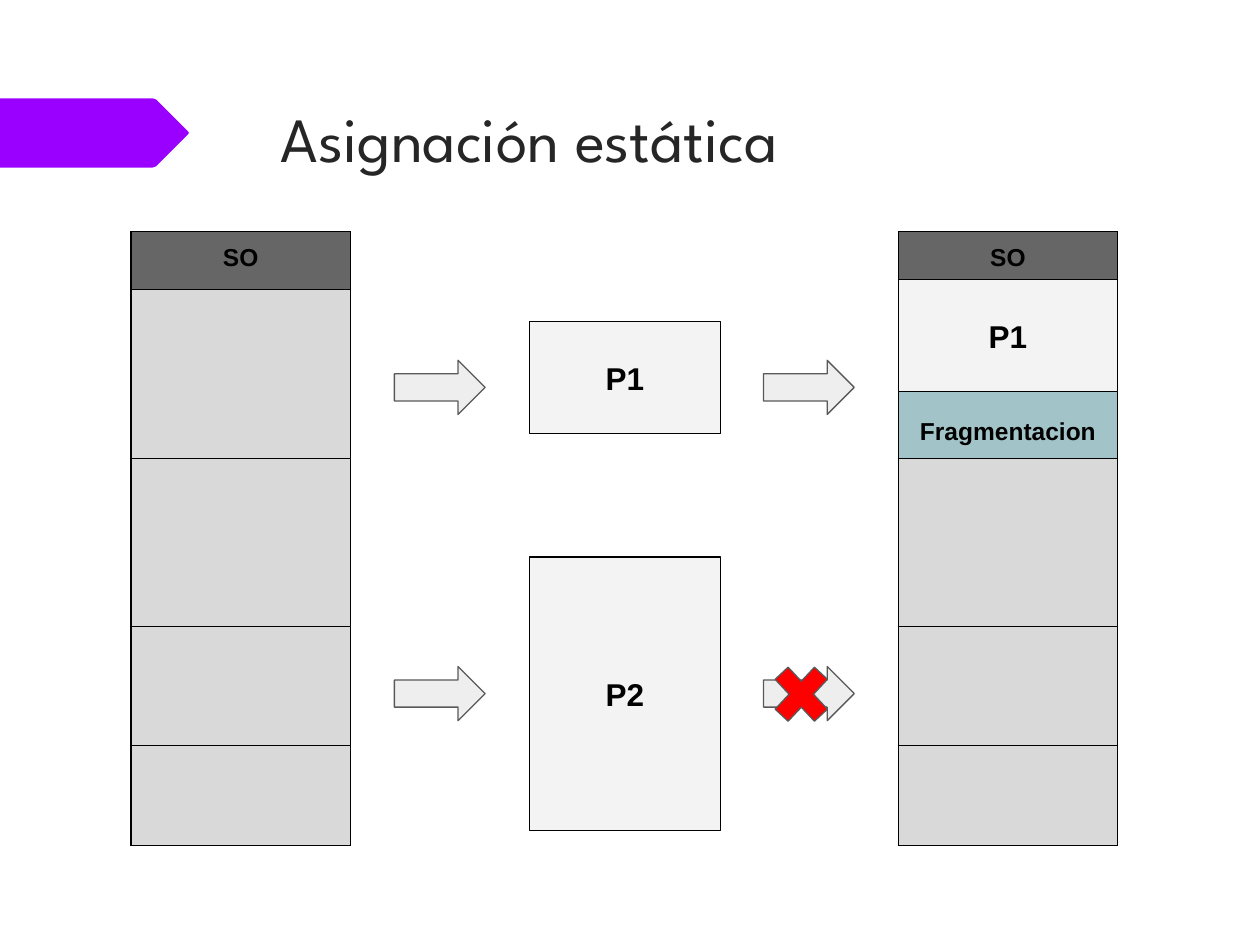
from lxml import etree
from pptx import Presentation
from pptx.dml.color import RGBColor
from pptx.enum.shapes import MSO_SHAPE
from pptx.enum.text import MSO_ANCHOR, PP_ALIGN
from pptx.oxml.ns import qn
from pptx.util import Inches, Pt

RECTANGLE = MSO_SHAPE.RECTANGLE
ARROW = MSO_SHAPE.RIGHT_ARROW
CROSS = MSO_SHAPE.MATH_MULTIPLY
CENTER, LEFT = PP_ALIGN.CENTER, PP_ALIGN.LEFT
TOP, MIDDLE, BOTTOM = MSO_ANCHOR.TOP, MSO_ANCHOR.MIDDLE, MSO_ANCHOR.BOTTOM

BLACK, GRAY, PALE, TEAL = "000000", "D9D9D9", "F3F3F3", "A2C4C9"
DARK, OUTLINE = "666666", "595959"
MEMORY_TOP, MEMORY_WIDTH = 1.84, 1.74
MEMORY_ROWS = [0.46, 1.34, 1.33, 0.95, 0.79]
BEFORE_LEFT, AFTER_LEFT = 1.04, 7.13
PROCESS_LEFT, PROCESS_WIDTH, P1_HEIGHT = 4.2, 1.52, 0.89
ARROW_COLUMNS, ARROW_ROWS = (3.13, 6.06), (2.86, 5.29)
BANNER_POINTS = [
    (0, 0.78), (1.21, 0.78), (1.24, 0.79), (1.49, 1.04), (1.5, 1.055),
    (1.49, 1.07), (1.24, 1.32), (1.21, 1.33), (0, 1.33),
]


def color(value):
    """Turn a hex string into a colour."""
    return RGBColor.from_string(value)


def paint(shape, fill, line=None):
    """Set fill and outline of a shape and remove its shadow."""
    shape.shadow.inherit = False
    shape.fill.solid()
    shape.fill.fore_color.rgb = color(fill)
    if line:
        shape.line.color.rgb = color(line)
        shape.line.width = Pt(0.75)
    else:
        shape.line.fill.background()


def write(frame, text, size, font="Arial", ink=BLACK, bold=True, align=CENTER):
    """Write one run into the first paragraph of a text frame."""
    paragraph = frame.paragraphs[0]
    paragraph.alignment = align
    run = paragraph.add_run()
    run.text = text
    run.font.size = Pt(size)
    run.font.name = font
    run.font.bold = bold
    run.font.color.rgb = color(ink)


def add_figure(slide, kind, box, fill, line):
    """Add a painted preset shape."""
    shape = slide.shapes.add_shape(kind, *map(Inches, box))
    paint(shape, fill, line)
    return shape


def add_process(slide, name, box):
    """Add a process block with its name in the middle."""
    frame = add_figure(slide, RECTANGLE, box, PALE, BLACK).text_frame
    frame.word_wrap = True
    frame.vertical_anchor = MIDDLE
    frame.margin_top = frame.margin_bottom = Inches(0.1)
    write(frame, name, 18)


def add_borders(cell):
    """Draw a thin black line on each side of a cell."""
    properties = cell._tc.get_or_add_tcPr()
    for index, side in enumerate(("a:lnL", "a:lnR", "a:lnT", "a:lnB")):
        line = etree.Element(qn(side), w=str(Pt(0.75)))
        fill = etree.SubElement(line, qn("a:solidFill"))
        etree.SubElement(fill, qn("a:srgbClr"), val=BLACK)
        properties.insert(index, line)


def add_memory(slide, left, partitions):
    """Add a memory map from (label, fill, anchor) partitions."""
    box = (left, MEMORY_TOP, MEMORY_WIDTH, sum(MEMORY_ROWS))
    table = slide.shapes.add_table(len(MEMORY_ROWS), 1, *map(Inches, box)).table
    for index, (label, fill, anchor) in enumerate(partitions):
        table.rows[index].height = Inches(MEMORY_ROWS[index])
        cell = table.cell(index, 0)
        cell.margin_left = cell.margin_right = Inches(0.1)
        cell.margin_top = cell.margin_bottom = Inches(0.1)
        cell.vertical_anchor = anchor
        cell.fill.solid()
        cell.fill.fore_color.rgb = color(fill)
        add_borders(cell)
        if label:
            write(cell.text_frame, label, 14)


def add_banner(slide):
    """Add the purple pointer at the left edge."""
    points = [(Inches(x), Inches(y)) for x, y in BANNER_POINTS]
    builder = slide.shapes.build_freeform(*points[0])
    builder.add_line_segments(points[1:])
    paint(builder.convert_to_shape(), "9900FF")


def add_title(slide, text):
    """Add the slide title."""
    box = slide.shapes.add_textbox(*map(Inches, (2.13, 0.68, 7.21, 0.82)))
    frame = box.text_frame
    frame.word_wrap = True
    frame.vertical_anchor = MIDDLE
    write(frame, text, 36, "League Spartan", "262626", False, LEFT)


def main():
    """Build the slide on static allocation."""
    presentation = Presentation()
    presentation.slide_width, presentation.slide_height = Inches(10), Inches(7.5)
    slide = presentation.slides.add_slide(presentation.slide_layouts[6])

    system, free = ("SO", DARK, TOP), ("", GRAY, TOP)
    fragment = ("Fragmentacion", TEAL, BOTTOM)
    add_banner(slide)
    add_memory(slide, BEFORE_LEFT, [system] + [free] * 4)
    add_memory(slide, AFTER_LEFT, [system, fragment] + [free] * 3)

    add_process(slide, "P1", (PROCESS_LEFT, 2.55, PROCESS_WIDTH, P1_HEIGHT))
    add_process(slide, "P2", (PROCESS_LEFT, 4.42, PROCESS_WIDTH, 2.17))
    add_process(slide, "P1", (AFTER_LEFT, 2.22, MEMORY_WIDTH, P1_HEIGHT))
    for top in ARROW_ROWS:
        for left in ARROW_COLUMNS:
            add_figure(slide, ARROW, (left, top, 0.72, 0.43), "EEEEEE", OUTLINE)
    cross = add_figure(slide, CROSS, (6.06, 5.19, 0.6, 0.64), "FF0000", OUTLINE)
    cross.adjustments[0] = 0.235

    add_title(slide, "Asignación estática")
    presentation.save("out.pptx")


if __name__ == "__main__":
    main()
